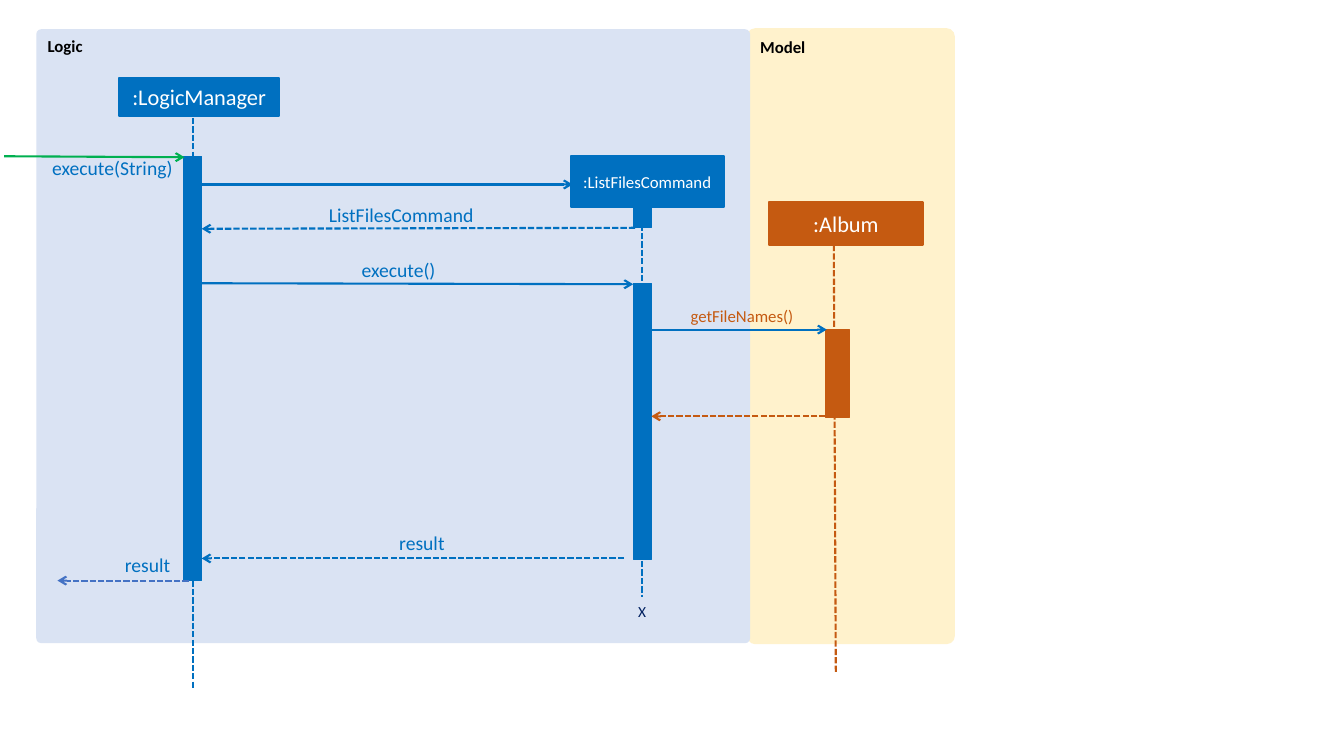
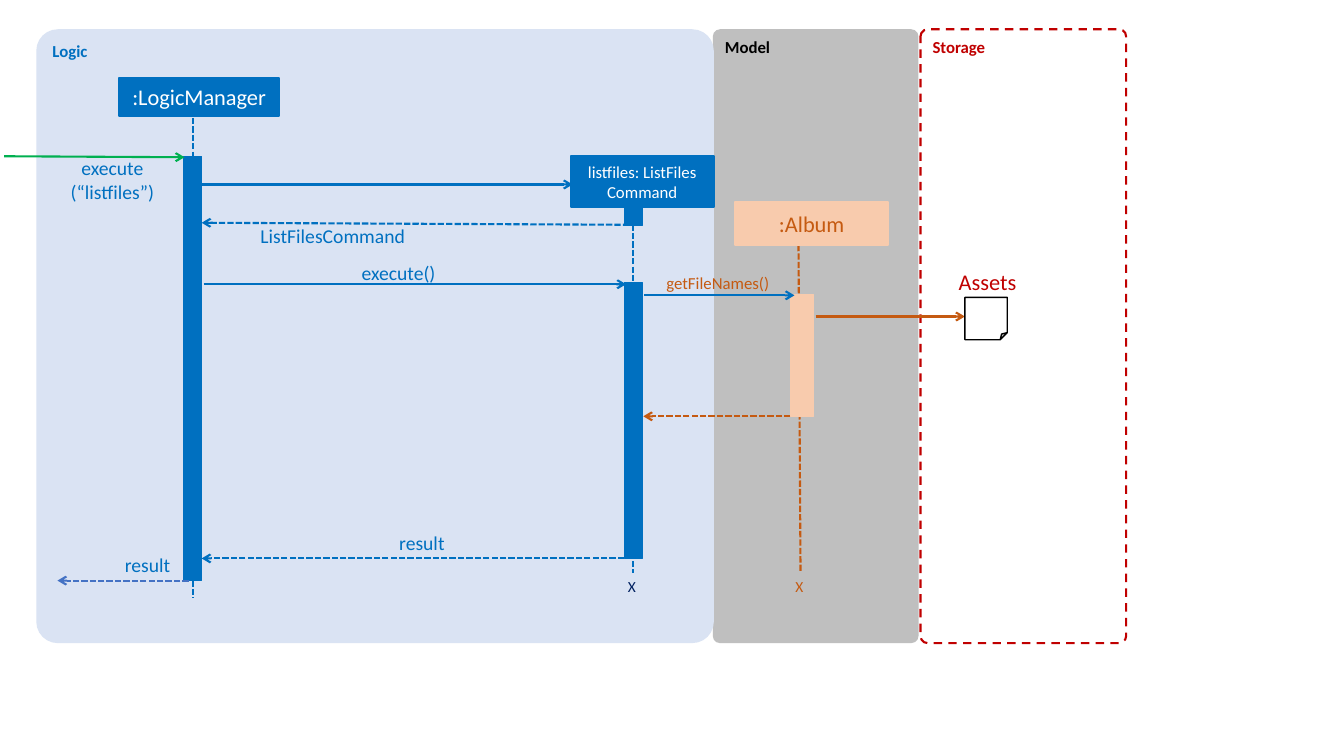
from lxml.etree import SubElement
from pptx import Presentation
from pptx.dml.color import RGBColor
from pptx.enum.dml import MSO_LINE_DASH_STYLE as Dash
from pptx.enum.shapes import MSO_CONNECTOR as Connector, MSO_SHAPE as Shape
from pptx.enum.text import MSO_ANCHOR as Anchor, MSO_AUTO_SIZE as AutoSize, PP_ALIGN as Align
from pptx.oxml.ns import qn
from pptx.util import Inches, Pt

THEME = {
    "font": "Calibri",
    "colors": {
        "logic": "0070C0", "logic panel": "DAE3F3", "model": "C55A11",
        "model light": "F8CBAD", "model panel": "FFF2CC", "grey": "BFBFBF",
        "storage": "C00000", "entry": "00B050", "exit": "4472C4",
        "navy": "002060", "black": "000000", "white": "FFFFFF",
    },
    "sizes": {"heading": 16, "label": 14, "small": 12, "mark": 11},
    "widths": {"line": 1.5, "document": 1, "bar": 0.5},
}
PANEL_TOP, PANEL_HEIGHT = 0.29, 6.09
BAR_WIDTHS = {"logic": 0.18, "model": 0.23, "model light": 0.23}
MARK_SIZE = (0.28, 0.29)

SHARED = {
    "bars": [(1.82, 1.55, 4.21, "logic")],
    "participants": [(":LogicManager", (1.18, 0.77, 1.59, 0.38), "logic", "white", "heading")],
    "messages": [
        ((0.04, 1.55), (1.83, 1.56), "entry", None),
        ((1.91, 1.83), (5.68, 1.83), "logic", None),
        ((6.19, 5.54), (2, 5.54), "logic", Dash.SQUARE_DOT),
        ((1.87, 5.76), (0.57, 5.76), "exit", Dash.SQUARE_DOT),
    ],
    "labels": [
        ("result", (3.73, 5.27, 0.68, 0.24), "logic", "label", Align.RIGHT),
        ("result", (0.86, 5.49, 0.83, 0.24), "logic", "label", Align.RIGHT),
    ],
}

DIAGRAMS = [
    {
        "panels": [
            ("Model", 7.42, 2.04, 0.035, "model panel", "model panel", None, "black"),
            ("Logic", 0.36, 7.08, 0.008, "logic panel", None, None, "black"),
        ],
        "lifelines": [
            ((8.27, 2.43), (8.29, 6.68), "model"),
            ((1.91, 1.17), (1.91, 6.83), "logic"),
            ((6.37, 2.06), (6.37, 5.92), "logic"),
        ],
        "bars": [
            (8.19, 3.27, 0.87, "model"),
            (6.28, 1.96, 0.3, "logic"),
            (6.28, 2.81, 2.74, "logic"),
        ],
        "participants": [
            (":ListFilesCommand", (5.66, 1.55, 1.52, 0.5), "logic", "white", "small"),
            (":Album", (7.63, 2, 1.52, 0.43), "model", "white", "heading"),
        ],
        "messages": [
            ((6.3, 2.26), (2, 2.27), "logic", Dash.SQUARE_DOT),
            ((2, 2.81), (6.28, 2.82), "logic", None),
            ((6.37, 3.27), (8.2, 3.27), "logic", None),
            ((8.19, 4.13), (6.46, 4.13), "model", Dash.SQUARE_DOT),
        ],
        "labels": [
            ("execute(String)", (0.47, 1.55, 1.29, 0.24), "logic", "label", Align.CENTER),
            ("ListFilesCommand", (3.12, 2.01, 1.72, 0.24), "logic", "label", Align.CENTER),
            ("execute()", (3.38, 2.56, 0.94, 0.24), "logic", "label", Align.RIGHT),
            ("getFileNames()", (6.31, 3.03, 1.56, 0.2), "model", "small", Align.RIGHT),
        ],
        "marks": [(6.23, 5.92, "navy")],
        "documents": [],
    },
    {
        "panels": [
            ("Model", 7.07, 2.04, 0.035, "grey", None, None, "black"),
            ("Logic", 0.36, 6.72, 0.035, "logic panel", None, None, "logic"),
            ("Storage", 9.13, 2.04, 0.035, None, "storage", Dash.DASH, "storage"),
        ],
        "lifelines": [
            ((7.92, 2.43), (7.94, 5.68), "model"),
            ((1.91, 1.17), (1.91, 5.93), "logic"),
            ((6.28, 2.06), (6.28, 5.68), "logic"),
        ],
        "bars": [
            (7.84, 2.92, 1.21, "model light"),
            (6.19, 1.94, 0.3, "logic"),
            (6.19, 2.8, 2.74, "logic"),
        ],
        "participants": [
            ("listfiles: ListFiles\vCommand", (5.66, 1.55, 1.42, 0.5), "logic", "white", "small"),
            (":Album", (7.29, 2, 1.52, 0.43), "model light", "model", "heading"),
        ],
        "messages": [
            ((6.24, 2.23), (2, 2.21), "logic", Dash.SQUARE_DOT),
            ((2.02, 2.82), (6.21, 2.82), "logic", None),
            ((6.39, 2.93), (7.88, 2.93), "logic", None),
            ((7.84, 4.13), (6.38, 4.13), "model", Dash.SQUARE_DOT),
            ((8.09, 3.14), (9.57, 3.14), "model", None),
        ],
        "labels": [
            ("execute\n(“listfiles”)", (0.47, 1.55, 1.29, 0.47), "logic", "label", Align.CENTER),
            ("ListFilesCommand", (2.44, 2.22, 1.72, 0.24), "logic", "label", Align.CENTER),
            ("execute()", (3.38, 2.59, 0.94, 0.24), "logic", "label", Align.RIGHT),
            ("getFileNames()", (6.07, 2.71, 1.56, 0.2), "model", "small", Align.RIGHT),
        ],
        "marks": [(6.13, 5.68, "navy"), (7.79, 5.68, "model")],
        "documents": [("Assets", (9.41, 2.61, 0.78, 0.37), (9.57, 2.95, 0.42, 0.42))],
    },
]


def color(name):
    return RGBColor.from_string(THEME["colors"][name])


def apply(target, values):
    for name, value in values.items():
        setattr(target, name, value)


def style_line(line, name, width="line", dash=None):
    if name is None:
        line.fill.background()
        return
    line.color.rgb = color(name)
    line.width = Pt(THEME["widths"][width])
    if dash is not None:
        line.dash_style = dash


def write(frame, text, name, size, align=Align.LEFT, bold=False, **frame_format):
    frame.text = text
    apply(frame, {"word_wrap": True, **frame_format})
    for paragraph in frame.paragraphs:
        paragraph.alignment = align
        apply(paragraph.font, {"name": THEME["font"], "size": Pt(THEME["sizes"][size]), "bold": bold})
        paragraph.font.color.rgb = color(name)


def add_box(slide, kind, bounds, fill, line, width="line", dash=None):
    shape = slide.shapes.add_shape(kind, *map(Inches, bounds))
    shape.shadow.inherit = False
    if fill is None:
        shape.fill.background()
    else:
        shape.fill.solid()
        shape.fill.fore_color.rgb = color(fill)
    style_line(shape.line, line, width, dash)
    return shape


def add_line(slide, start, end, name, dash=None, arrow=False):
    connector = slide.shapes.add_connector(Connector.STRAIGHT, *map(Inches, start + end))
    style_line(connector.line, name, dash=dash)
    if arrow:
        SubElement(connector.line._get_or_add_ln(), qn("a:tailEnd"), type="arrow")
    SubElement(connector._element.spPr, qn("a:effectLst"))


def add_text(slide, text, bounds, name, size, align=Align.LEFT, **frame_format):
    frame = slide.shapes.add_textbox(*map(Inches, bounds)).text_frame
    write(frame, text, name, size, align, auto_size=AutoSize.SHAPE_TO_FIT_TEXT, **frame_format)


def draw_diagram(slide, diagram):
    for title, left, width, corner, fill, line, dash, text_color in diagram["panels"]:
        bounds = (left, PANEL_TOP, width, PANEL_HEIGHT)
        panel = add_box(slide, Shape.ROUNDED_RECTANGLE, bounds, fill, line, dash=dash)
        panel.adjustments[0] = corner
        write(panel.text_frame, title, text_color, "small", bold=True, vertical_anchor=Anchor.TOP)
    for start, end, name in diagram["lifelines"]:
        add_line(slide, start, end, name, Dash.SQUARE_DOT)
    for left, top, height, name in SHARED["bars"] + diagram["bars"]:
        add_box(slide, Shape.RECTANGLE, (left, top, BAR_WIDTHS[name], height), name, name, "bar")
    for title, bounds, fill, text_color, size in SHARED["participants"] + diagram["participants"]:
        box = add_box(slide, Shape.RECTANGLE, bounds, fill, fill)
        write(box.text_frame, title, text_color, size, Align.CENTER, vertical_anchor=Anchor.MIDDLE)
    for start, end, name, dash in SHARED["messages"] + diagram["messages"]:
        add_line(slide, start, end, name, dash, arrow=True)
    no_margins = dict.fromkeys(("margin_left", "margin_top", "margin_right", "margin_bottom"), 0)
    for label in SHARED["labels"] + diagram["labels"]:
        add_text(slide, *label, **no_margins)
    for left, top, name in diagram["marks"]:
        add_text(slide, "X", (left, top, *MARK_SIZE), name, "mark")
    for title, title_bounds, bounds in diagram["documents"]:
        add_box(slide, Shape.FOLDED_CORNER, bounds, "white", "black", "document")
        add_text(slide, title, title_bounds, "storage", "heading", word_wrap=False)


def main():
    presentation = Presentation()
    presentation.slide_width, presentation.slide_height = Inches(13.33), Inches(7.5)
    for diagram in DIAGRAMS:
        draw_diagram(presentation.slides.add_slide(presentation.slide_layouts[6]), diagram)
    presentation.save("out.pptx")


if __name__ == "__main__":
    main()
